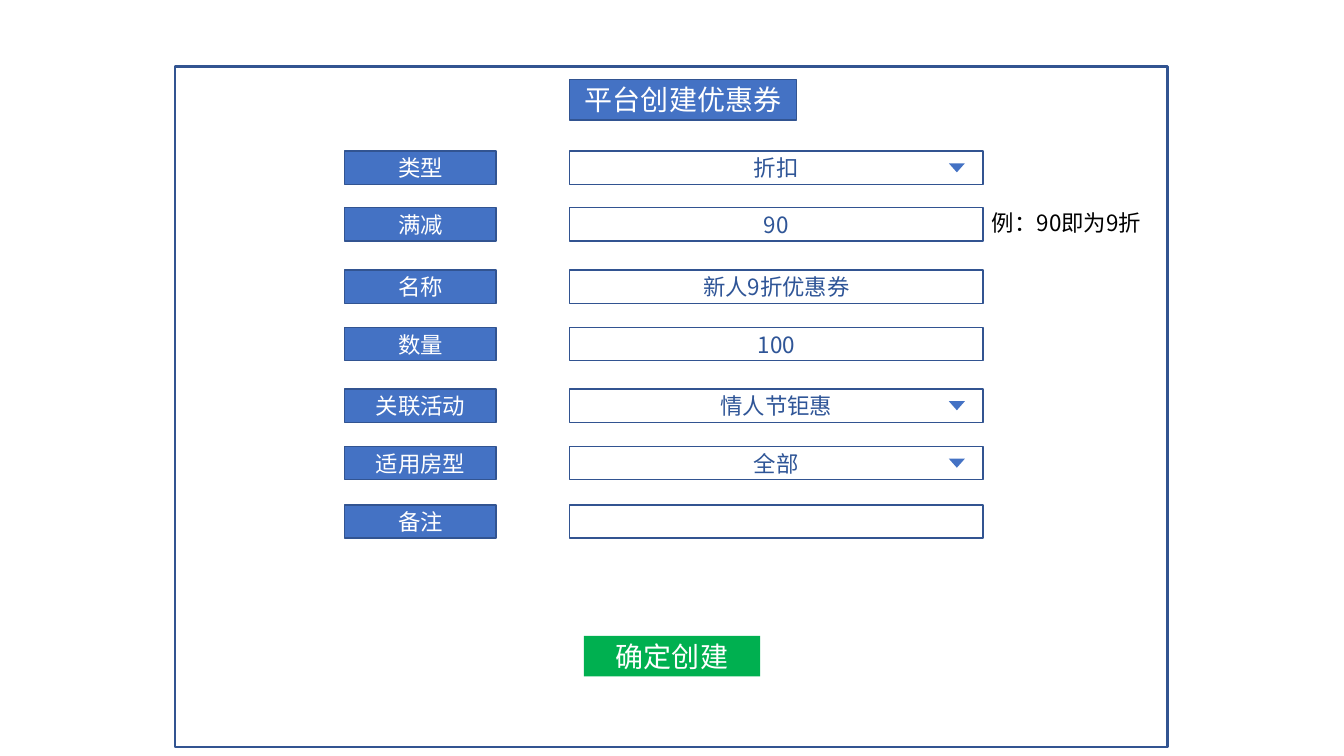
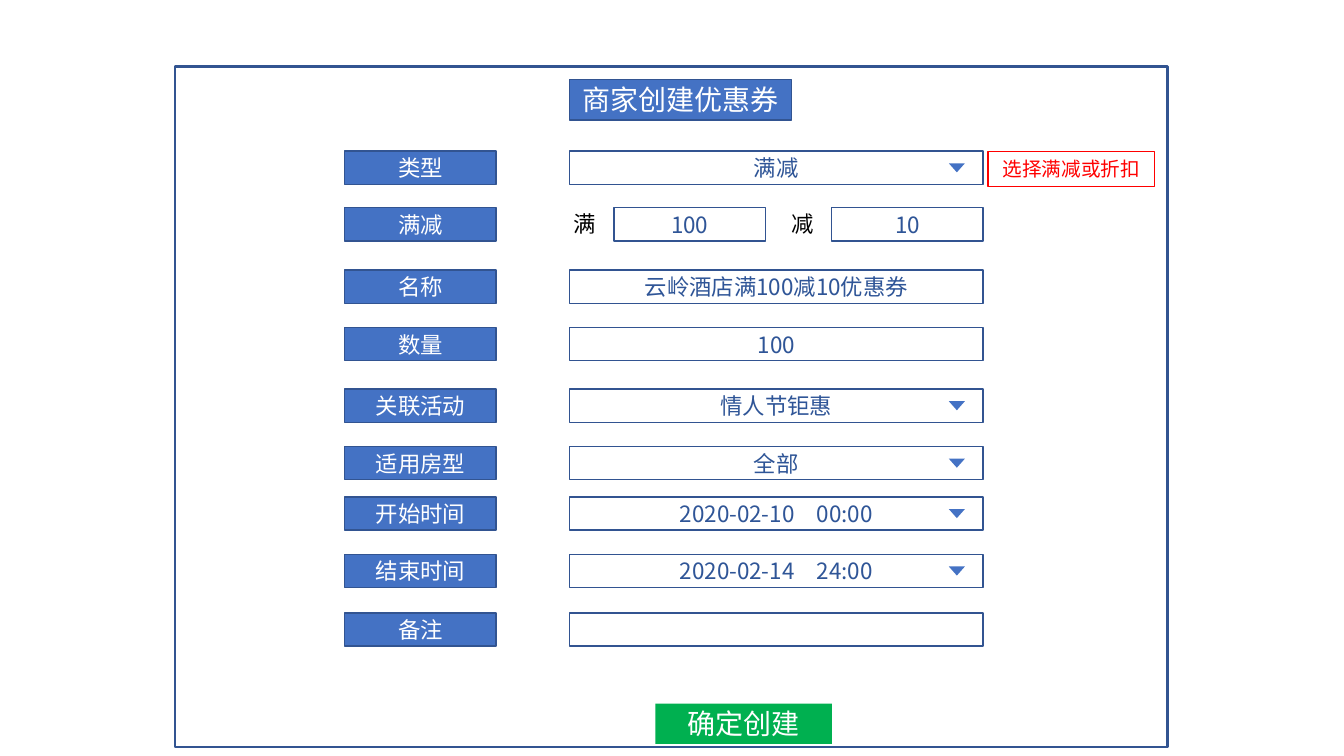
from dataclasses import dataclass
from typing import Optional

from lxml import etree
from pptx import Presentation
from pptx import util as u
from pptx.dml.color import RGBColor
from pptx.enum import shapes, text
from pptx.oxml import ns

FONT = "Noto Sans CJK SC"
COLORS = {"blue": "4472C4", "border": "325491", "entry": "2F5597", "green": "00B050",
          "red": "FF0000", "white": "FFFFFF", "black": "000000"}

# Shared form geometry, in inches
LABEL_LEFT, LABEL_WIDTH = 3.42, 1.5
FIELD_LEFT, FIELD_WIDTH = 5.65, 4.1
ROW_HEIGHT, BUTTON_HEIGHT = 0.33, 0.4


@dataclass(frozen=True)
class Entry:
    value: str
    left: float = FIELD_LEFT
    width: float = FIELD_WIDTH
    dropdown: bool = False


@dataclass(frozen=True)
class Row:
    top: float
    label: str
    entries: tuple[Entry, ...]


@dataclass(frozen=True)
class Caption:
    wording: str
    left: float
    top: float
    width: float


@dataclass(frozen=True)
class Form:
    title: str
    title_width: float
    rows: tuple[Row, ...]
    captions: tuple[Caption, ...]
    confirm_left: float
    confirm_top: float
    hint: str = ""


def rgb(name: str) -> RGBColor:
    return RGBColor.from_string(COLORS[name])


def write(frame, wording: str, size: float, color: str, align) -> None:
    frame.word_wrap = True
    paragraph = frame.paragraphs[0]
    paragraph.text = wording
    paragraph.alignment = align
    paragraph.font.size = u.Pt(size)
    paragraph.font.name = FONT
    paragraph.font.color.rgb = rgb(color)
    defaults = paragraph._p.pPr.find(ns.qn("a:defRPr"))
    etree.SubElement(defaults, ns.qn("a:ea"), typeface=FONT)


def add_box(slide, left: float, top: float, width: float, height: float,
            fill: Optional[str] = None, line: Optional[str] = "border",
            weight: float = 1, wording: str = "", size: float = 16,
            color: str = "white", kind=shapes.MSO_SHAPE.RECTANGLE):
    box = slide.shapes.add_shape(kind, u.Inches(left), u.Inches(top),
                                 u.Inches(width), u.Inches(height))
    box.shadow.inherit = False
    if fill:
        box.fill.solid()
        box.fill.fore_color.rgb = rgb(fill)
    else:
        box.fill.background()
    if line:
        box.line.color.rgb = rgb(line)
        box.line.width = u.Pt(weight)
    else:
        box.line.fill.background()
    if wording:
        box.text_frame.vertical_anchor = text.MSO_ANCHOR.MIDDLE
        write(box.text_frame, wording, size, color, text.PP_ALIGN.CENTER)
    return box


def add_row(slide, row: Row) -> None:
    add_box(slide, LABEL_LEFT, row.top, LABEL_WIDTH, ROW_HEIGHT,
            fill="blue", wording=row.label)
    for entry in row.entries:
        add_box(slide, entry.left, row.top, entry.width, ROW_HEIGHT,
                wording=entry.value, color="entry")
        if entry.dropdown:
            arrow = add_box(slide, 9.41, row.top + 0.12, 0.16, 0.09, fill="blue",
                            line=None, kind=shapes.MSO_SHAPE.ISOSCELES_TRIANGLE)
            arrow.rotation = 180


def add_caption(slide, caption: Caption) -> None:
    note = slide.shapes.add_textbox(u.Inches(caption.left), u.Inches(caption.top),
                                    u.Inches(caption.width), u.Inches(0.37))
    write(note.text_frame, caption.wording, 16, "black", text.PP_ALIGN.LEFT)


def add_form(deck, form: Form) -> None:
    slide = deck.slides.add_slide(deck.slide_layouts[6])
    # Window and title
    add_box(slide, 1.74, 0.66, 9.84, 6.75, weight=1.5)
    add_box(slide, FIELD_LEFT, 0.79, form.title_width, BUTTON_HEIGHT,
            fill="blue", wording=form.title, size=20)
    # Fields and captions
    for row in form.rows:
        add_row(slide, row)
    for caption in form.captions:
        add_caption(slide, caption)
    if form.hint:
        add_box(slide, 9.8, 1.5, 1.65, 0.35, line="red", wording=form.hint,
                size=14, color="red")
    # Confirm button
    add_box(slide, form.confirm_left, form.confirm_top, 1.75, BUTTON_HEIGHT,
            fill="green", line=None, wording="确定创建", size=20)


def coupon_rows(kind: str, reduction: tuple[Entry, ...], name: str) -> tuple[Row, ...]:
    """The rows that both forms begin with."""
    return (
        Row(1.5, "类型", (Entry(kind, dropdown=True),)),
        Row(2.06, "满减", reduction),
        Row(2.68, "名称", (Entry(name),)),
        Row(3.25, "数量", (Entry("100"),)),
        Row(3.86, "关联活动", (Entry("情人节钜惠", dropdown=True),)),
        Row(4.43, "适用房型", (Entry("全部", dropdown=True),)),
    )


def remark_row(top: float) -> Row:
    return Row(top, "备注", (Entry(""),))


FORMS = (
    Form(
        title="平台创建优惠券", title_width=2.25,
        rows=coupon_rows("折扣", (Entry("90"),), "新人9折优惠券") + (remark_row(5.01),),
        captions=(Caption("例：90即为9折", 9.74, 2.03, 1.68),),
        confirm_left=5.79, confirm_top=6.31,
    ),
    Form(
        title="商家创建优惠券", title_width=2.2,
        rows=coupon_rows("满减", (Entry("100", 6.09, 1.5), Entry("10", 8.25, 1.5)),
                         "云岭酒店满100减10优惠券") + (
            Row(4.93, "开始时间", (Entry("2020-02-10\u300000:00", dropdown=True),)),
            Row(5.5, "结束时间", (Entry("2020-02-14\u300024:00", dropdown=True),)),
            remark_row(6.08),
        ),
        captions=(Caption("满", 5.59, 2.04, 0.43), Caption("减", 7.75, 2.04, 0.43)),
        confirm_left=6.5, confirm_top=6.98, hint="选择满减或折扣",
    ),
)

presentation = Presentation()
presentation.slide_width = u.Inches(13.33)
presentation.slide_height = u.Inches(7.5)
for coupon_form in FORMS:
    add_form(presentation, coupon_form)
presentation.save("out.pptx")
